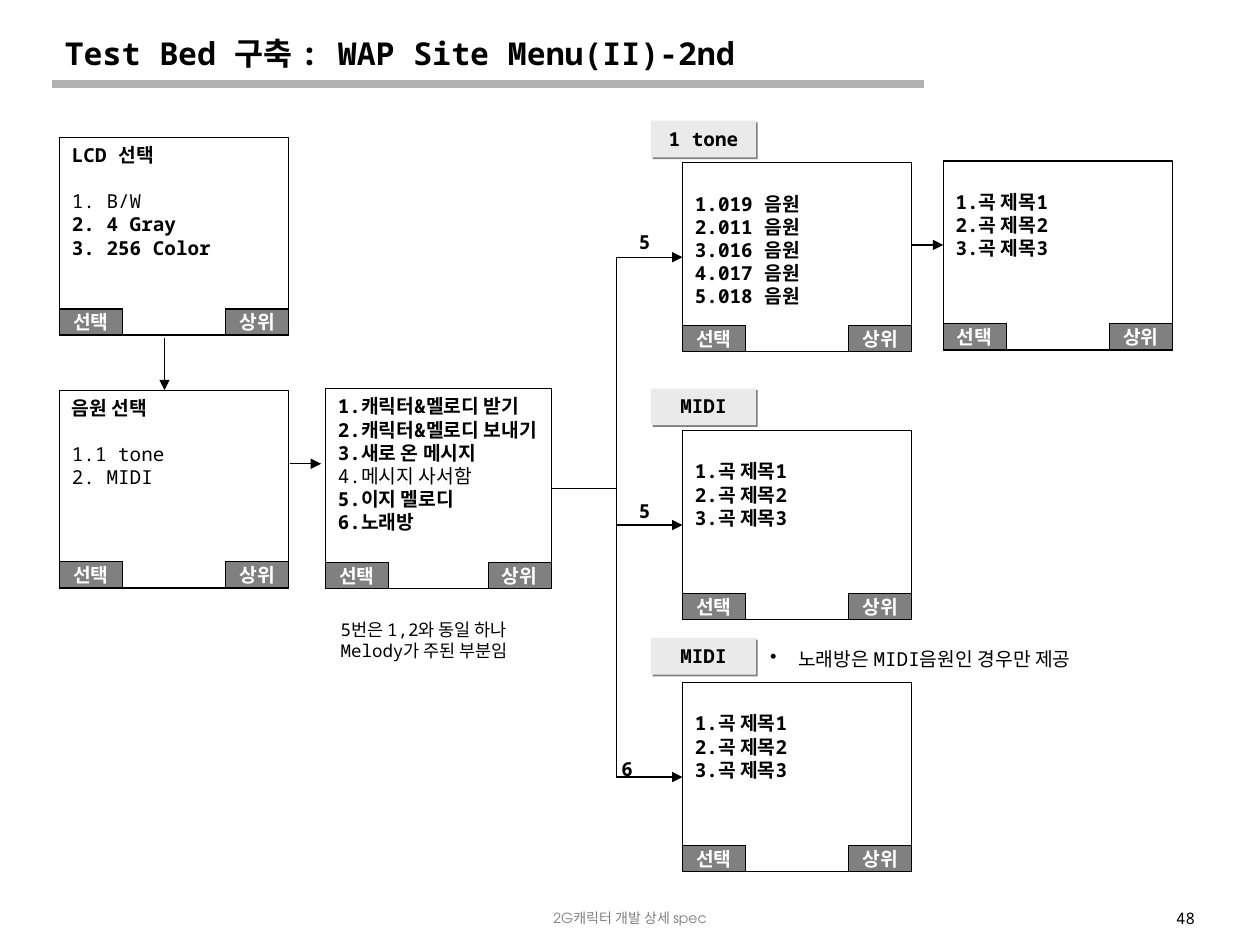
"""Build the WAP site menu flow slide: phone screens joined by arrows."""
from lxml.etree import SubElement
from pptx import Presentation
from pptx.dml.color import RGBColor
from pptx.enum.shapes import MSO_CONNECTOR as CONN, MSO_SHAPE as SHAPE
from pptx.enum.text import MSO_ANCHOR as ANCHOR, PP_ALIGN as ALIGN
from pptx.oxml.ns import qn
from pptx.util import Pt

THEME = {
    "font": "Noto Sans Mono", "footer_font": "TeX Gyre Adventor",
    "ink": "000000", "key": "808080", "key_text": "FFFFFF", "tag": "EAEAEA",
    "rule": "B2B2B2", "shadow": "808080", "muted": "808080",
    "title": 18, "body": 11, "note": 10, "page": 9, "footer": 8,
    "line": 0.75, "rule_width": 4.5,
}
TITLE = "Test Bed 구축 : WAP Site Menu(II)-2nd"
FOOTER = "2G캐릭터 개발 상세 spec"
PAGE = "48"
NOTE = ["5번은 1,2와 동일 하나", "Melody가 주된 부분임"]
BULLET = "노래방은 MIDI음원인 경우만 제공"
KEYS = ("선택", "상위")
SONGS = ["1.곡 제목1", "2.곡 제목2", "3.곡 제목3"]
SOURCES = ["1.019 음원", "2.011 음원", "3.016 음원", "4.017 음원", "5.018 음원"]
MENU = ["1.캐릭터&멜로디 받기", "2.캐릭터&멜로디 보내기", "3.새로 온 메시지",
        "4.메시지 사서함", "5.이지 멜로디", "6.노래방"]
LCD = ["LCD 선택", "1. B/W", "2. 4 Gray", "3. 256 Color"]
SOUND = ["음원 선택", "1.1 tone", "2. MIDI"]
ROW = 13.1
KEY_W, KEY_H = 36, 15
SCREENS = [
    ((34, 78.5, 131, 113), LCD, {"plain": (1,), "gap_at": 1}),
    ((34, 223, 131, 113), SOUND, {"plain": (1, 2), "gap_at": 1}),
    ((186, 222, 129, 114.5), MENU, {"plain": (3,)}),
    ((390, 93, 131, 108), SOURCES, {"top": 3.6 + ROW}),
    ((539, 92, 131, 108), SONGS, {"top": 3.6 + ROW}),
    ((390, 246, 131, 108), SONGS, {"top": 3.6 + ROW}),
    ((390, 390, 131, 108), SONGS, {"top": 3.6 + ROW}),
]
TAGS = [("1 tone", 69), ("MIDI", 222), ("MIDI", 364.5)]
STEPS = [("5", 358, 128), ("5", 358, 281.5), ("6", 348, 429)]
ARROWS = [(94, 193, 94, 223), (165.5, 265, 183.5, 265), (521, 140, 539, 140)]
BRANCH_FROM, BRANCH_X = (315, 279), 390
BRANCH_ENDS = [147, 300, 444]


def color(name):
    return RGBColor.from_string(THEME[name])


def write(s, lines, *, size="body", ink="ink", font="font", bold=True, plain=(),
          align=ALIGN.LEFT, anchor=ANCHOR.TOP, wrap=True, top=3.6, gap_at=None):
    """Put lines into a shape; plain holds indexes of lines that are not bold."""
    tf = s.text_frame
    tf.word_wrap, tf.vertical_anchor = wrap, anchor
    tf.margin_left = tf.margin_right = Pt(7.2)
    tf.margin_top, tf.margin_bottom = Pt(top), Pt(3.6)
    for i, line in enumerate(lines):
        p = tf.paragraphs[0] if i == 0 else tf.add_paragraph()
        p.alignment = align
        if i == gap_at:
            p.space_before = Pt(ROW)
        r = p.add_run()
        r.text = line
        r.font.size, r.font.name = Pt(THEME[size]), THEME[font]
        r.font.bold = bold and i not in plain
        r.font.color.rgb = color(ink)
    return s


def box(slide, rect, fill=None, line=None, kind=SHAPE.RECTANGLE):
    s = slide.shapes.add_shape(kind, *map(Pt, rect))
    s.shadow.inherit = False
    if fill:
        s.fill.solid()
        s.fill.fore_color.rgb = color(fill)
    else:
        s.fill.background()
    if line:
        s.line.color.rgb, s.line.width = color(line), Pt(THEME["line"])
    else:
        s.line.fill.background()
    return s


def label(slide, rect, lines, **fmt):
    return write(slide.shapes.add_textbox(*map(Pt, rect)), lines, **fmt)


def connect(slide, ends, kind=CONN.STRAIGHT, ink="ink", width="line", arrow=True):
    s = slide.shapes.add_connector(kind, *map(Pt, ends))
    s.line.color.rgb, s.line.width = color(ink), Pt(THEME[width])
    if arrow:
        SubElement(s.line._get_or_add_ln(), qn("a:tailEnd"), type="triangle")
    SubElement(s._element.spPr, qn("a:effectLst"))


def screen(slide, rect, lines, fmt):
    x, y, w, h = rect
    write(box(slide, rect, line="ink"), lines, wrap=False, **fmt)
    for key, left in zip(KEYS, (x, x + w - KEY_W)):
        s = box(slide, (left, y + h - KEY_H, KEY_W, KEY_H), "key", "ink")
        write(s, [key], ink="key_text", align=ALIGN.CENTER,
              anchor=ANCHOR.MIDDLE, wrap=False)


def tag(slide, text, y):
    s = write(box(slide, (372, y, 60, 21), "tag"), [text], align=ALIGN.CENTER)
    effects = s._element.spPr.find(qn("a:effectLst"))
    shadow = SubElement(effects, qn("a:outerShdw"), dist=str(Pt(1.4)), dir="2700000")
    SubElement(shadow, qn("a:srgbClr"), val=THEME["shadow"])


def bullet(s, indent):
    pPr = s.text_frame.paragraphs[0]._p.get_or_add_pPr()
    pPr.set("marL", str(Pt(indent)))
    pPr.set("indent", str(Pt(-indent)))
    SubElement(pPr, qn("a:buChar"), char="•")


def main():
    prs = Presentation()
    prs.slide_width, prs.slide_height = Pt(720), Pt(540)
    slide = prs.slides.add_slide(prs.slide_layouts[6])

    label(slide, (246, 516, 228, 18), [FOOTER], size="footer", ink="muted",
          font="footer_font", bold=False, align=ALIGN.CENTER)
    connect(slide, (30, 48, 528, 48), ink="rule", width="rule_width", arrow=False)
    label(slide, (30, 12, 612, 36), [TITLE], size="title", anchor=ANCHOR.MIDDLE)

    for rect, lines, fmt in SCREENS:
        screen(slide, rect, lines, fmt)
    for ends in ARROWS:
        connect(slide, ends)
    for y in BRANCH_ENDS:
        connect(slide, (*BRANCH_FROM, BRANCH_X, y), CONN.ELBOW)
    for text, x, y in STEPS:
        label(slide, (x, y, 42, 21), [text])
    for text, y in TAGS:
        tag(slide, text, y)

    aside = {"bold": False, "anchor": ANCHOR.MIDDLE, "wrap": False}
    write(box(slide, (186, 349, 126, 33), kind=SHAPE.ROUNDED_RECTANGLE),
          NOTE, size="note", **aside)
    s = box(slide, (432, 366, 198, 21), kind=SHAPE.ROUNDED_RECTANGLE)
    bullet(write(s, [BULLET], **aside), 16)
    label(slide, (540, 516, 150, 18), [PAGE], size="page", bold=False,
          align=ALIGN.RIGHT)
    prs.save("out.pptx")


if __name__ == "__main__":
    main()
